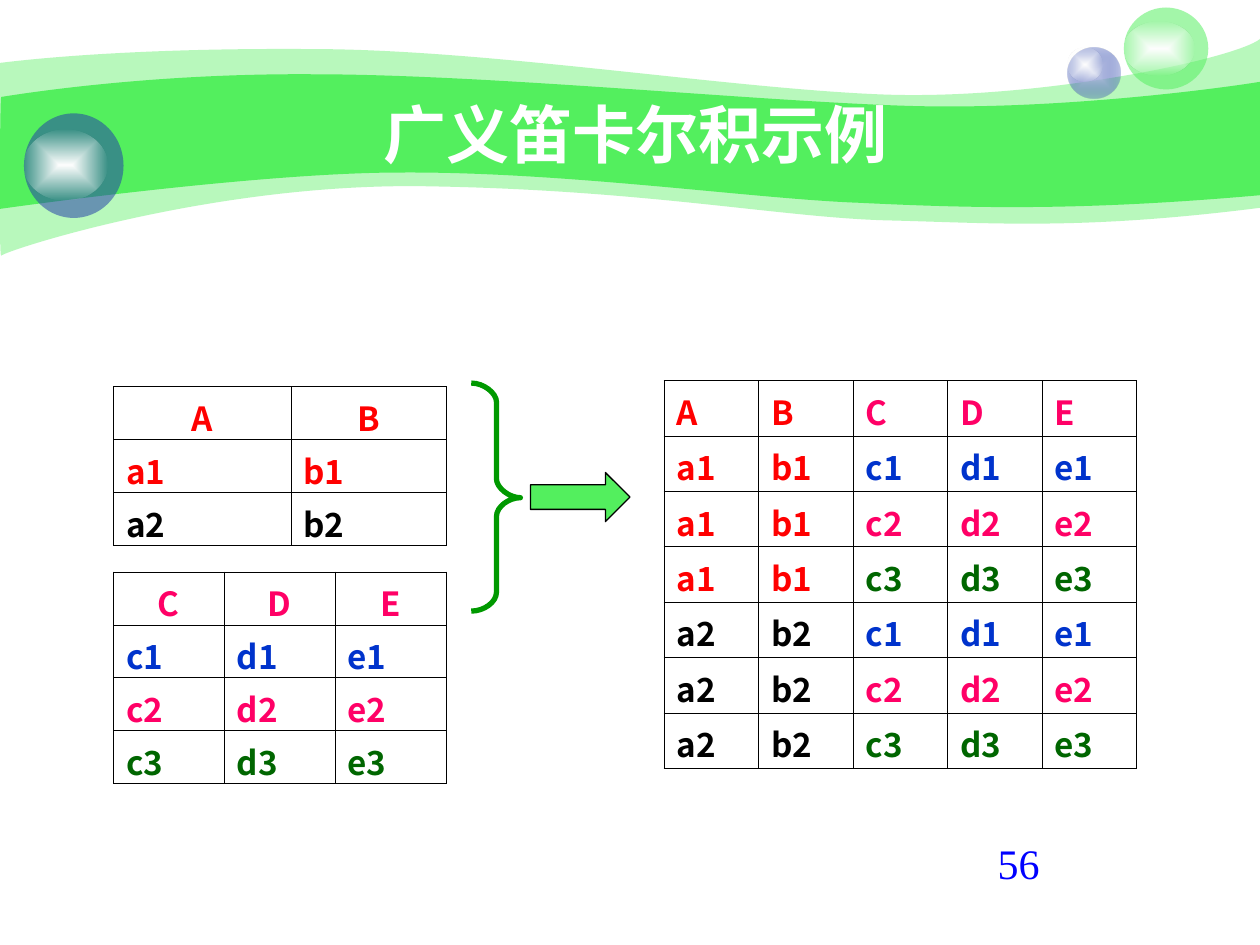
import itertools

import pptx
import pptx.dml.color
import pptx.enum.shapes
import pptx.enum.text
import pptx.oxml
import pptx.oxml.ns
import pptx.util
from lxml import etree
from pptx.util import Inches

COLORS = {
    "green": "53EF5E", "navy": "233DA9", "mist": "C7CEE9", "white": "FFFFFF",
    "black": "000000", "red": "FF0000", "pink": "FF0066", "blue": "0033CC",
    "forest": "006600", "brace": "009900", "number": "0000FF",
}
CELL_FONT = "Noto Sans CJK KR"
SHAPE = pptx.enum.shapes.MSO_SHAPE
ALIGN = pptx.enum.text.PP_ALIGN
qn = pptx.oxml.ns.qn

# Each row of a relation: its values and their colour
RELATION_R = [(["A", "B"], "red"), (["a1", "b1"], "red"), (["a2", "b2"], "black")]
RELATION_S = [(["C", "D", "E"], "pink"), (["c1", "d1", "e1"], "blue"),
              (["c2", "d2", "e2"], "pink"), (["c3", "d3", "e3"], "forest")]

# Outlines: points in inches; C takes three points, L takes one
OUTER_WAVE = ("CCCLCCCC", [
    (0, 0.5), (0.24, 0.47), (1.07, 0.38), (2.47, 0.39), (3.86, 0.39), (5.75, 0.7),
    (6.99, 0.75), (8.22, 0.8), (9.8, 0.47), (10, 0.31), (10, 1.65), (8.58, 1.83),
    (7.87, 1.77), (7.05, 1.75), (6.22, 1.73), (5.15, 1.51), (3.43, 1.48),
    (1.72, 1.44), (0.04, 1.99), (0.01, 2.03), (-0.01, 2.08), (0, 0.75), (0, 0.5)])
INNER_WAVE = ("CCCLCCCC", [
    (0.01, 0.77), (0.02, 0.77), (1.1, 0.58), (2.48, 0.59), (3.86, 0.59), (5.95, 0.8),
    (7.18, 0.84), (8.41, 0.88), (9.76, 0.69), (10, 0.65), (10, 1.55), (8.53, 1.68),
    (7.65, 1.65), (6.82, 1.61), (5.99, 1.58), (4.47, 1.36), (3.17, 1.37),
    (2.03, 1.37), (-0.02, 1.66), (-0.01, 1.66), (0, 1.66), (0, 0.77), (0.01, 0.77)])
BRACE = ("CLCCLC", [
    (3.74, 3.04), (3.84, 3.04), (3.94, 3.12), (3.94, 3.19), (3.94, 3.8),
    (3.94, 3.87), (4.04, 3.95), (4.13, 3.95), (4.04, 3.95), (3.94, 4.02),
    (3.94, 4.1), (3.94, 4.7), (3.94, 4.78), (3.84, 4.85), (3.74, 4.85)])


def rgb(name):
    return pptx.dml.color.RGBColor.from_string(COLORS[name])


def fill_solid(shape, color, alpha=100):
    shape.fill.solid()
    shape.fill.fore_color.rgb = rgb(color)
    if alpha < 100:
        srgb = shape._element.spPr.find(qn("a:solidFill")).find(qn("a:srgbClr"))
        etree.SubElement(srgb, qn("a:alpha"), val=str(alpha * 1000))


def fill_glow(shape, center, edge, edge_alpha):
    """Gradient from the middle out to a translucent edge."""
    shape.fill.background()
    no_fill = shape._element.spPr.find(qn("a:noFill"))
    gradient = pptx.oxml.parse_xml(
        f'<a:gradFill {pptx.oxml.ns.nsdecls("a")} rotWithShape="1"><a:gsLst>'
        f'<a:gs pos="0"><a:srgbClr val="{COLORS[center]}"/></a:gs>'
        f'<a:gs pos="100000"><a:srgbClr val="{COLORS[edge]}">'
        f'<a:alpha val="{edge_alpha * 1000}"/></a:srgbClr></a:gs></a:gsLst>'
        '<a:path path="rect"><a:fillToRect l="50000" t="50000" r="50000" b="50000"/>'
        '</a:path></a:gradFill>')
    no_fill.getparent().replace(no_fill, gradient)


def add_curve(slide, outline, closed):
    """Freeform whose line segments are regrouped into Bezier curves."""
    commands, points = outline
    start, *rest = [(Inches(x), Inches(y)) for x, y in points]
    builder = slide.shapes.build_freeform(*start)
    builder.add_line_segments(rest, close=closed)
    curve = builder.convert_to_shape()
    curve.shadow.inherit = False
    segments = iter(list(curve._element.iter(qn("a:lnTo"))))
    for command in commands:
        first = next(segments)
        if command == "C":
            first.tag = qn("a:cubicBezTo")
            for segment in itertools.islice(segments, 2):
                first.append(segment[0])
                segment.getparent().remove(segment)
    return curve


def add_wave(slide, outline, alpha=100):
    wave = add_curve(slide, outline, closed=True)
    fill_solid(wave, "green", alpha)
    wave.line.fill.background()


def add_ball(slide, body_box, shine_box):
    ball = slide.shapes.add_group_shape()
    parts = []
    for box in (body_box, shine_box):
        part = ball.shapes.add_shape(SHAPE.OVAL, *map(Inches, box))
        part.shadow.inherit = False
        part.line.fill.background()
        parts.append(part)
    body, shine = parts
    fill_glow(shine, "white", "white", 0)
    return body


def style_text(paragraph, size, font, color, bold):
    for run in paragraph.runs:
        run.font.size = pptx.util.Pt(size)
        run.font.name = font
        run.font.bold = bold
        run.font.color.rgb = rgb(color)


def add_text(slide, box, text, size, font, color, bold=False, wrap=True):
    frame = slide.shapes.add_textbox(*map(Inches, box)).text_frame
    frame.word_wrap = wrap
    frame.text = text
    style_text(frame.paragraphs[0], size, font, color, bold)
    return frame


def style_cell(cell, text, color, centered):
    cell.text = text
    paragraph = cell.text_frame.paragraphs[0]
    paragraph.alignment = ALIGN.CENTER if centered else ALIGN.LEFT
    indent = Inches(0.38)
    properties = paragraph._p.get_or_add_pPr()
    properties.set("marL", str(indent))
    properties.set("indent", str(-indent))
    style_text(paragraph, 19, CELL_FONT, color, True)
    cell.fill.background()
    for position, side in enumerate(("lnL", "lnR", "lnT", "lnB")):
        border = pptx.oxml.parse_xml(
            f'<a:{side} {pptx.oxml.ns.nsdecls("a")} w="5715"><a:solidFill>'
            f'<a:srgbClr val="{COLORS["black"]}"/></a:solidFill></a:{side}>')
        cell._tc.get_or_add_tcPr().insert(position, border)


def add_relation(slide, left, top, widths, row_height, rows, center_header):
    """Each row is a list of (text, colour) pairs."""
    table = slide.shapes.add_table(
        len(rows), len(widths), Inches(left), Inches(top),
        Inches(sum(widths)), Inches(row_height * len(rows))).table
    table.first_row = table.horz_banding = False
    for column, width in zip(table.columns, widths):
        column.width = Inches(width)
    for r, row in enumerate(rows):
        for c, (text, color) in enumerate(row):
            style_cell(table.cell(r, c), text, color, center_header and r == 0)


def colored(relation):
    return [[(value, color) for value in values] for values, color in relation]


def main():
    deck = pptx.Presentation()
    deck.slide_width, deck.slide_height = Inches(10), Inches(7.5)
    slide = deck.slides.add_slide(deck.slide_layouts[6])

    # Banner with balls
    add_wave(slide, OUTER_WAVE, 41)
    add_wave(slide, INNER_WAVE)
    small = add_ball(slide, (8.47, 0.38, 0.42, 0.4), (8.47, 0.38, 0.28, 0.27))
    fill_glow(small, "mist", "navy", 31)
    light = add_ball(slide, (8.92, 0.06, 0.67, 0.65), (8.92, 0.17, 0.56, 0.43))
    fill_solid(light, "green", 53)
    dark = add_ball(slide, (0.19, 0.9, 0.79, 0.83), (0.19, 1.03, 0.66, 0.56))
    fill_solid(dark, "navy", 53)

    # Title
    title = add_text(slide, (1, 0.75, 8.08, 0.62), "广义笛卡尔积示例",
                     36, "Arial", "white", bold=True)
    title.vertical_anchor = pptx.enum.text.MSO_ANCHOR.MIDDLE
    title.paragraphs[0].alignment = ALIGN.CENTER

    # Relations and their product
    r_rows, s_rows = colored(RELATION_R), colored(RELATION_S)
    product = [r_rows[0] + s_rows[0]]
    product += [r + s for r, s in itertools.product(r_rows[1:], s_rows[1:])]
    add_relation(slide, 0.9, 3.07, [1.41, 1.23], 0.42, r_rows, True)
    add_relation(slide, 0.9, 4.54, [0.88] * 3, 0.42, s_rows, True)
    add_relation(slide, 5.27, 3.02, [0.75] * 5, 0.44, product, False)

    # Brace and arrow
    brace = add_curve(slide, BRACE, closed=False)
    brace.fill.background()
    brace.line.color.rgb = rgb("brace")
    brace.line.width = pptx.util.Pt(3)
    arrow = slide.shapes.add_shape(SHAPE.RIGHT_ARROW, *map(Inches, (4.21, 3.75, 0.79, 0.39)))
    arrow.shadow.inherit = False
    fill_solid(arrow, "green")
    arrow.line.color.rgb = rgb("black")
    arrow.line.width = pptx.util.Pt(0.75)

    # Page number
    add_text(slide, (7.82, 6.6, 1.59, 0.5), "56", 24, "Times New Roman", "number", wrap=False)

    deck.save("out.pptx")


if __name__ == "__main__":
    main()
